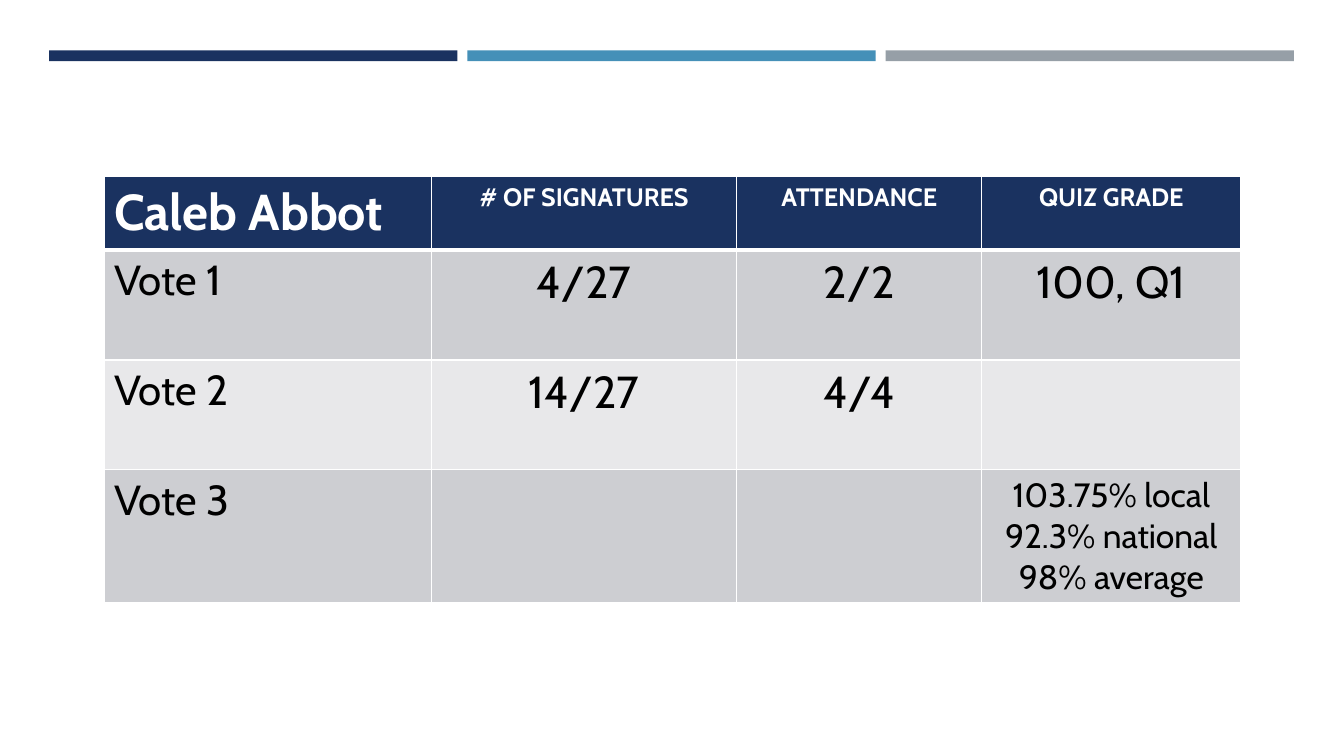
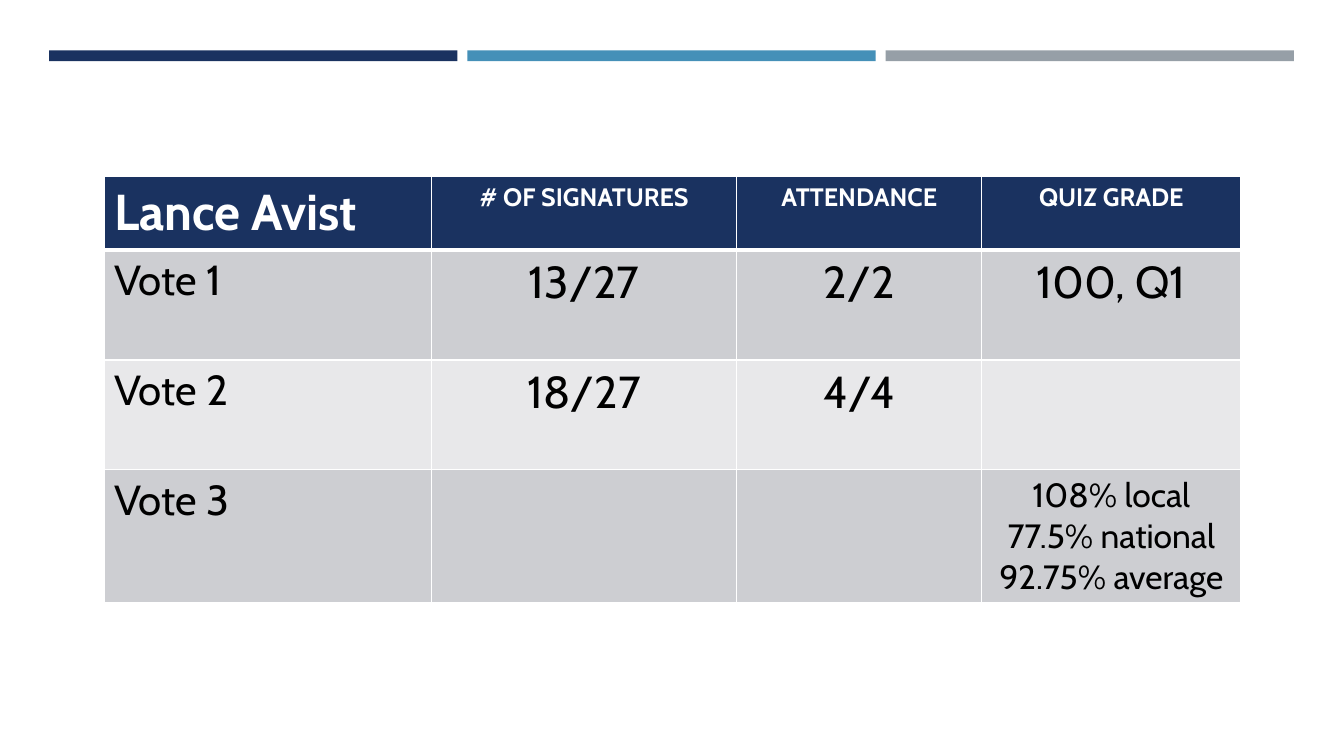
from dataclasses import dataclass

from lxml import etree
from pptx import Presentation
from pptx import util as u
from pptx.dml.color import RGBColor
from pptx.enum import shapes, text
from pptx.oxml import ns

FONT = "Cabin"
NAVY, BLUE, GREY = "1A3260", "4590B8", "969FA7"
WHITE, BLACK = "FFFFFF", "000000"
ROW_FILLS = ("CDCED2", "E8E8EA")

BAND_LEFT, BAND_TOP, BAND_WIDTH, BAND_HEIGHT, BAND_GAP = 1.24, 1.27, 10.29, 0.27, 0.25
TABLE_LEFT, TABLE_TOP = 2.62, 4.45
COLUMN_WIDTHS = (8.25, 7.7, 6.17, 6.53)
ROW_HEIGHTS = (1.85, 2.77, 2.77, 3.33)

HEADINGS = ("# OF SIGNATURES", "ATTENDANCE", "QUIZ GRADE")
NAME_SIZE, HEADING_SIZE, VOTE_SIZE, RESULT_SIZE, GRADES_SIZE = 36, 18, 30, 32, 24


@dataclass(frozen=True)
class Candidate:
    name: str
    signatures: tuple[str, str]
    grades: tuple[str, str, str]


CANDIDATES = (
    Candidate("Caleb Abbot", ("4/27", "14/27"),
              ("103.75% local", "92.3% national", "98% average")),
    Candidate("Lance Avist", ("13/27", "18/27"),
              ("108% local", "77.5% national", "92.75% average")),
)


def set_fill(target, colour: str) -> None:
    target.fill.solid()
    target.fill.fore_color.rgb = RGBColor.from_string(colour)


def add_bands(slide) -> None:
    for index, colour in enumerate((NAVY, BLUE, GREY)):
        left = BAND_LEFT + index * (BAND_WIDTH + BAND_GAP)
        band = slide.shapes.add_shape(
            shapes.MSO_SHAPE.RECTANGLE, u.Cm(left), u.Cm(BAND_TOP),
            u.Cm(BAND_WIDTH), u.Cm(BAND_HEIGHT))
        band.shadow.inherit = False
        band.line.fill.background()
        set_fill(band, colour)


def set_borders(cell, row: int) -> None:
    """Draw white cell borders, with a heavier rule below the header row."""
    widths = {"lnL": 1, "lnR": 1, "lnT": 3 if row == 1 else 1, "lnB": 3 if row == 0 else 1}
    properties = cell._tc.get_or_add_tcPr()
    for tag, width in widths.items():
        line = etree.SubElement(properties, ns.qn(f"a:{tag}"), w=str(u.Pt(width)))
        fill = etree.SubElement(line, ns.qn("a:solidFill"))
        etree.SubElement(fill, ns.qn("a:srgbClr"), val=WHITE)


def write_cell(cell, content: str, size: int, is_header: bool, centred: bool) -> None:
    cell.text = content
    font_values = {"name": FONT, "size": u.Pt(size), "bold": is_header}
    for paragraph in cell.text_frame.paragraphs:
        paragraph.alignment = text.PP_ALIGN.CENTER if centred else text.PP_ALIGN.LEFT
        for name, value in font_values.items():
            setattr(paragraph.font, name, value)
        paragraph.font.color.rgb = RGBColor.from_string(WHITE if is_header else BLACK)


def table_rows(candidate: Candidate) -> list[tuple[str, ...]]:
    first, second = candidate.signatures
    return [
        (candidate.name, *HEADINGS),
        ("Vote 1", first, "2/2", "100, Q1"),
        ("Vote 2", second, "4/4", ""),
        ("Vote 3", "", "", "\n".join(candidate.grades)),
    ]


def text_size(row: int, column: int) -> int:
    if row == 0:
        return HEADING_SIZE if column else NAME_SIZE
    if column == 0:
        return VOTE_SIZE
    return GRADES_SIZE if row == 3 else RESULT_SIZE


def add_vote_table(slide, candidate: Candidate) -> None:
    table = slide.shapes.add_table(
        len(ROW_HEIGHTS), len(COLUMN_WIDTHS), u.Cm(TABLE_LEFT), u.Cm(TABLE_TOP),
        u.Cm(sum(COLUMN_WIDTHS)), u.Cm(sum(ROW_HEIGHTS))).table
    table.horz_banding = False
    for column, width in zip(table.columns, COLUMN_WIDTHS):
        column.width = u.Cm(width)
    for table_row, height in zip(table.rows, ROW_HEIGHTS):
        table_row.height = u.Cm(height)

    for row, contents in enumerate(table_rows(candidate)):
        for column, content in enumerate(contents):
            cell = table.cell(row, column)
            set_borders(cell, row)
            set_fill(cell, ROW_FILLS[(row - 1) % 2] if row else NAVY)
            if content:
                write_cell(cell, content, text_size(row, column), row == 0, column > 0)


def main() -> None:
    presentation = Presentation()
    presentation.slide_width, presentation.slide_height = u.Cm(33.87), u.Cm(19.05)
    blank_layout = presentation.slide_layouts[6]
    for candidate in CANDIDATES:
        slide = presentation.slides.add_slide(blank_layout)
        add_bands(slide)
        add_vote_table(slide, candidate)
    presentation.save("out.pptx")


if __name__ == "__main__":
    main()
